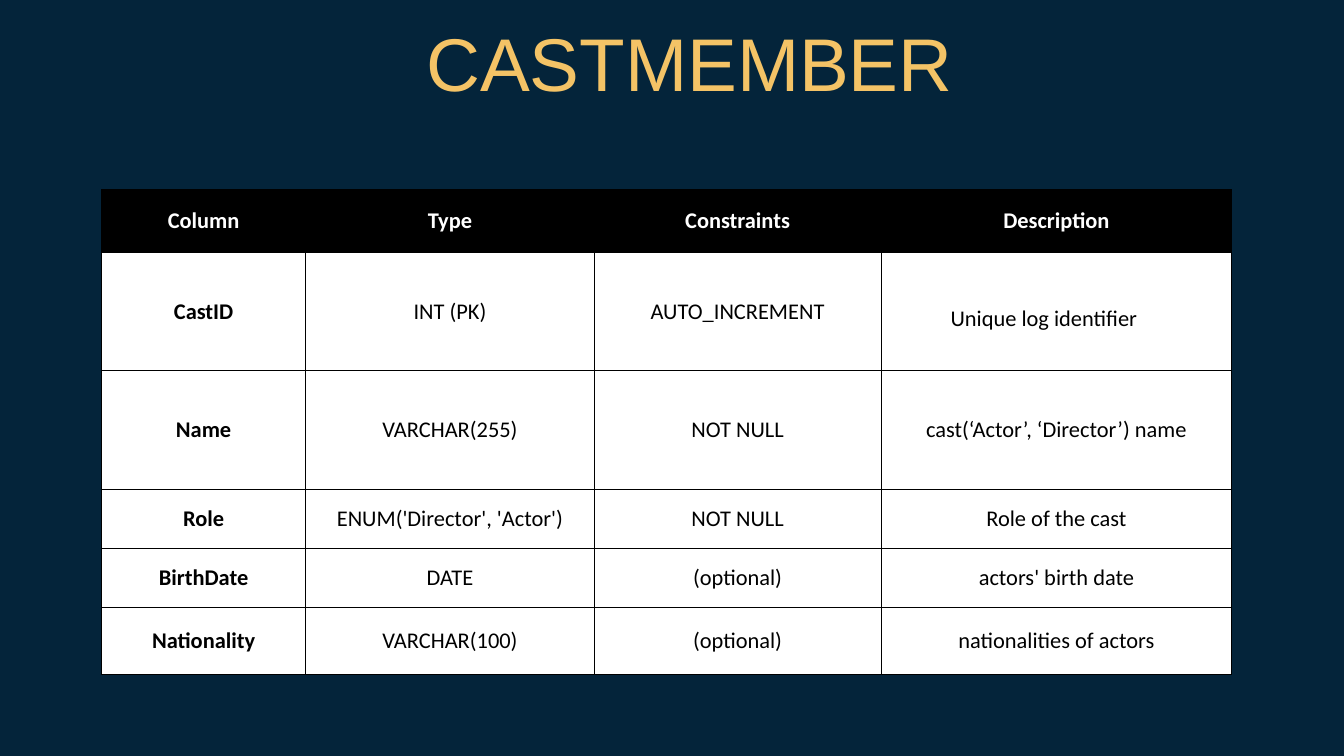
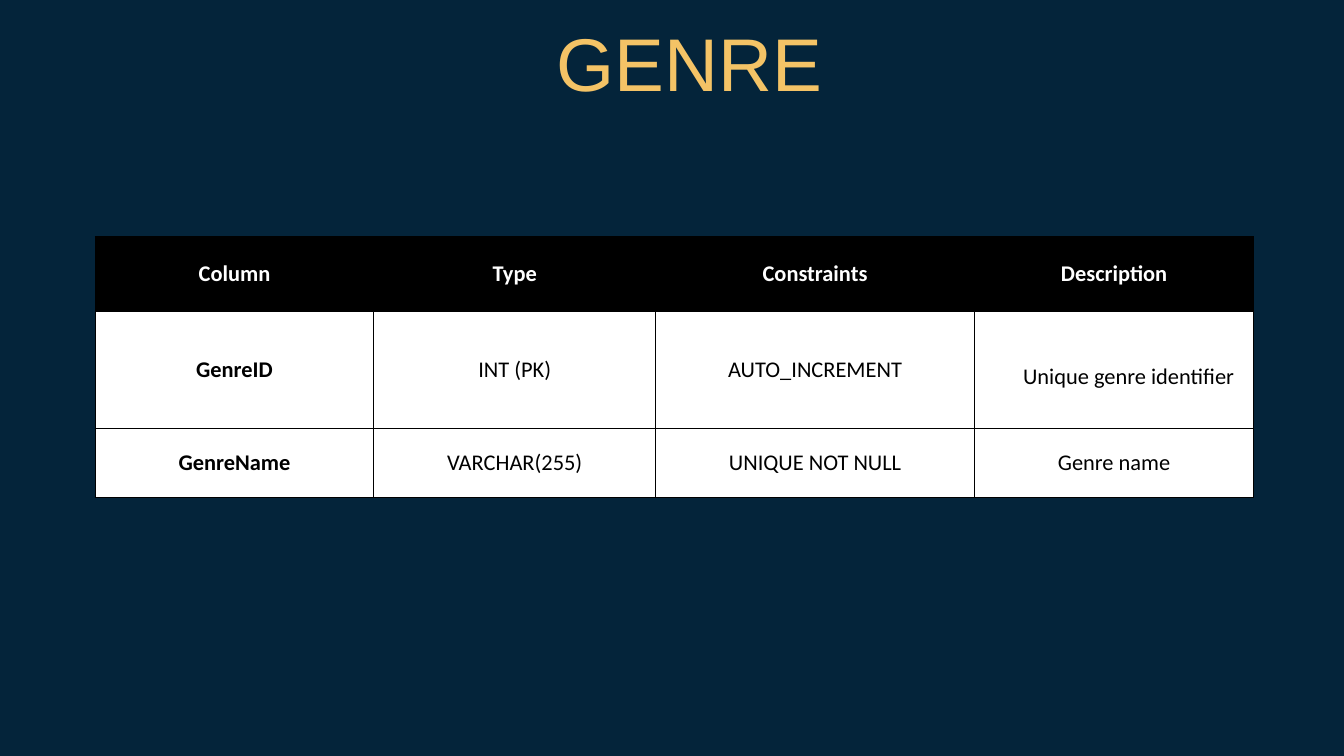
import pptx
import pptx.dml.color
import pptx.enum.text
import pptx.oxml
import pptx.oxml.ns
import pptx.util

Pt = pptx.util.Pt
NAVY, GOLD, BLACK, WHITE = "04243A", "F4C366", "000000", "FFFFFF"
HEADER = ("Column", "Type", "Constraints", "Description")
CAST_ROWS = (
    HEADER,
    ("CastID", "INT (PK)", "AUTO_INCREMENT", "Unique log identifier"),
    ("Name", "VARCHAR(255)", "NOT NULL", "cast(‘Actor’, ‘Director’) name"),
    ("Role", "ENUM('Director', 'Actor')", "NOT NULL", "Role of the cast"),
    ("BirthDate", "DATE", "(optional)", "actors' birth date"),
    ("Nationality", "VARCHAR(100)", "(optional)", "nationalities of actors"),
)
GENRE_ROWS = (
    HEADER,
    ("GenreID", "INT (PK)", "AUTO_INCREMENT", "Unique genre identifier"),
    ("GenreName", "VARCHAR(255)", "UNIQUE NOT NULL", "Genre name"),
)


def color(value):
    """Return the colour for a hex string."""
    return pptx.dml.color.RGBColor.from_string(value)


def paint(fill, value):
    """Give a fill one solid colour."""
    fill.solid()
    fill.fore_color.rgb = color(value)


def write(frame, text, font, size, value, bold):
    """Write one centred paragraph without insets and return it."""
    frame.text = text
    frame.word_wrap = True
    para = frame.paragraphs[0]
    para.alignment = pptx.enum.text.PP_ALIGN.CENTER
    for span in para.runs:
        span.font.name, span.font.size = font, Pt(size)
        span.font.bold = bold
        span.font.color.rgb = color(value)
    return para


def add_page(deck, title):
    """Add a slide with its gold title."""
    page = deck.slides.add_slide(deck.slide_layouts[5])
    box = page.shapes.title
    box.left, box.top, box.width, box.height = Pt(100), Pt(28), Pt(1278), Pt(88.5)
    frame = box.text_frame
    frame.margin_left = frame.margin_top = frame.margin_right = frame.margin_bottom = 0
    frame.vertical_anchor = pptx.enum.text.MSO_ANCHOR.TOP
    para = write(frame, title, "Arial", 80, GOLD, False)
    para.line_spacing = Pt(85.6)
    frame.auto_size = pptx.enum.text.MSO_AUTO_SIZE.SHAPE_TO_FIT_TEXT
    return page


def add_borders(cell):
    """Draw a thin black line on each side of a cell."""
    properties = cell._tc.get_or_add_tcPr()
    for place, side in enumerate("LRTB"):
        properties.insert(place, pptx.oxml.parse_xml(
            f'<a:ln{side} {pptx.oxml.ns.nsdecls("a")} w="{Pt(1)}"><a:solidFill>'
            f'<a:srgbClr val="{BLACK}"/></a:solidFill></a:ln{side}>'))


def fill_cell(cell, text, is_header, is_name):
    """Style one table cell and return its paragraph."""
    cell.margin_left = cell.margin_top = cell.margin_right = cell.margin_bottom = 0
    cell.vertical_anchor = pptx.enum.text.MSO_ANCHOR.MIDDLE
    paint(cell.fill, BLACK if is_header else WHITE)
    add_borders(cell)
    return write(cell.text_frame, text, "Calibri", 24,
                 WHITE if is_header else BLACK, is_header or is_name)


def add_schema(page, left, top, widths, heights, rows):
    """Add a table describing the columns of a database table."""
    table = page.shapes.add_table(
        len(rows), len(widths), Pt(left), Pt(top), Pt(sum(widths)), Pt(sum(heights))).table
    table.horz_banding = False
    for column, width in zip(table.columns, widths):
        column.width = Pt(width)
    for r, (height, texts) in enumerate(zip(heights, rows)):
        table.rows[r].height = Pt(height)
        for c, text in enumerate(texts):
            fill_cell(table.cell(r, c), text, r == 0, c == 0)
    return table


def indent_identifier(table, left, first, right):
    """Indent and open up the description of the key column."""
    para = table.cell(1, 3).text_frame.paragraphs[0]
    para.line_spacing = 1.5
    properties = para._p.get_or_add_pPr()
    for name, value in (("marL", left), ("indent", first), ("marR", right)):
        properties.set(name, str(Pt(value)))


def main():
    """Build and save the deck."""
    deck = pptx.Presentation()
    deck.slide_width, deck.slide_height = Pt(1440), Pt(810)
    paint(deck.slide_master.background.fill, NAVY)

    cast = add_schema(add_page(deck, "CASTMEMBER"), 108.7, 203,
                      (218.9, 309, 307.4, 375.8),
                      (67.7, 126.7, 126.7, 63.4, 63.4, 72), CAST_ROWS)
    indent_identifier(cast, 28, -4, 51)

    genre = add_schema(add_page(deck, "GENRE"), 102.2, 253.4,
                       (298.1, 302.4, 341.3, 299.5),
                       (80.6, 125.3, 74.2), GENRE_ROWS)
    indent_identifier(genre, 41, -10, 0)

    deck.save("out.pptx")


if __name__ == "__main__":
    main()
